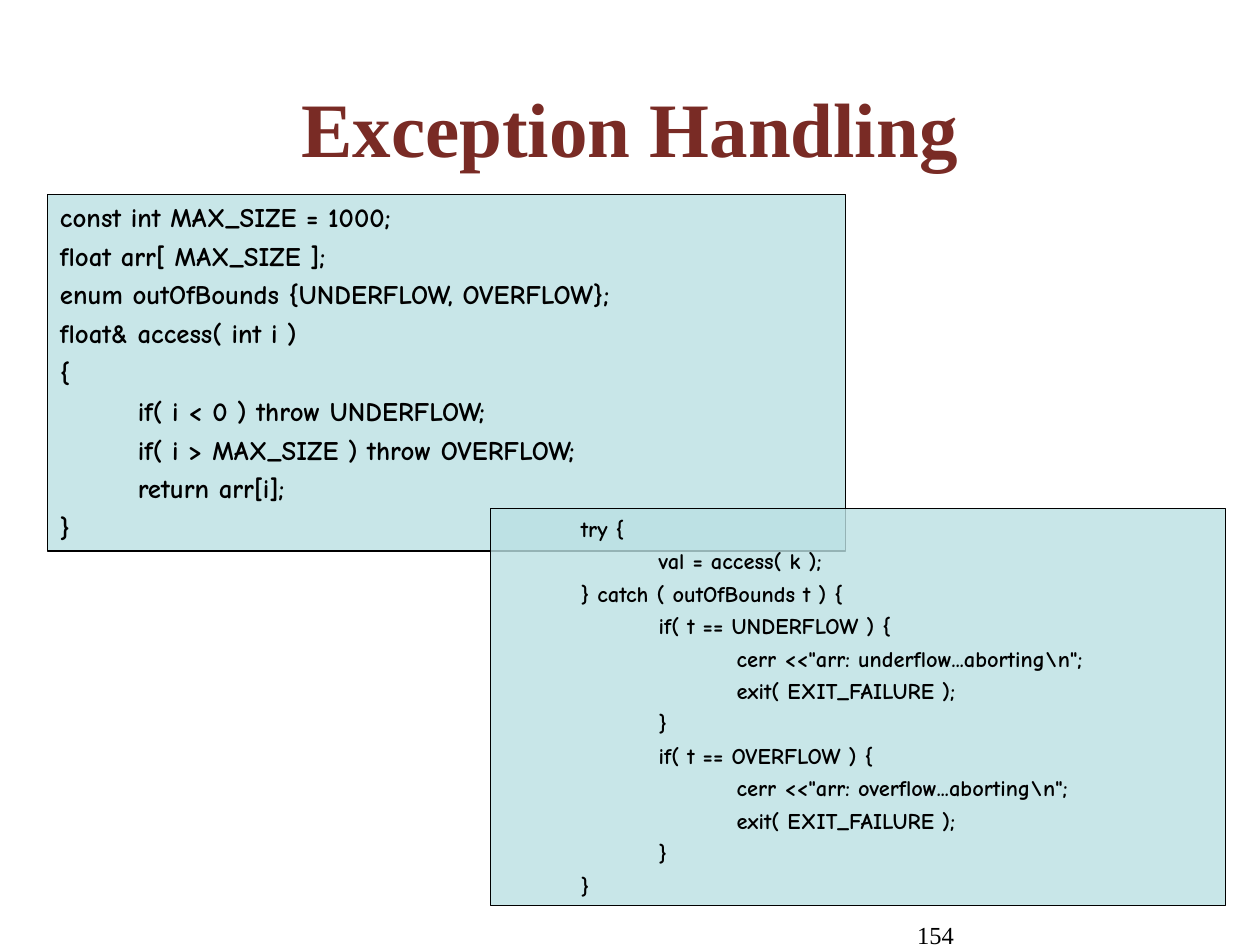
import pptx
import pptx.dml.color
import pptx.enum.shapes
import pptx.enum.text
import pptx.oxml
import pptx.oxml.ns
import pptx.util
from pptx.util import Cm, Pt

BLACK = pptx.dml.color.RGBColor(0x00, 0x00, 0x00)
MAROON = pptx.dml.color.RGBColor(0x79, 0x2B, 0x25)
PALE_TEAL = pptx.dml.color.RGBColor(0xBB, 0xE0, 0xE3)

HEADING_FONT = "Times New Roman"
CODE_FONT = "Comic Neue"
TAB_STEP = Cm(1.57)
ALIGN = pptx.enum.text.PP_ALIGN
ANCHOR = pptx.enum.text.MSO_ANCHOR

# Each line of code is (indent level, code)
ACCESS_CODE = [
    (0, "const int MAX_SIZE = 1000;"),
    (0, "float arr[ MAX_SIZE ];"),
    (0, "enum outOfBounds {UNDERFLOW, OVERFLOW};"),
    (0, "float& access( int i )"),
    (0, "{"),
    (1, "if( i < 0 ) throw UNDERFLOW;"),
    (1, "if( i > MAX_SIZE ) throw OVERFLOW;"),
    (1, "return arr[i];"),
    (0, "}"),
]


def handler(condition, message):
    return [
        (2, f"if( t == {condition} ) {{"),
        (3, rf'cerr <<"arr: {message}...aborting\n";'),
        (3, "exit( EXIT_FAILURE );"),
        (2, "}"),
    ]


CATCH_CODE = [
    (1, "try {"),
    (2, "val = access( k );"),
    (1, "} catch ( outOfBounds t ) {"),
    *handler("UNDERFLOW", "underflow"),
    *handler("OVERFLOW", "overflow"),
    (1, "}"),
]


def add_run(paragraph, text, font_name, size, color, bold=False):
    run = paragraph.add_run()
    run.text = text
    run.font.name = font_name
    run.font.size = Pt(size)
    run.font.bold = bold
    run.font.color.rgb = color


def add_label(slide, box, text, size, color, align, anchor, bold=False):
    """Title or page number: one line of text in a box."""
    label = slide.shapes.add_textbox(*box).text_frame
    label.word_wrap = True
    label.vertical_anchor = anchor
    label.paragraphs[0].alignment = align
    add_run(label.paragraphs[0], text, HEADING_FONT, size, color, bold)


def add_tab_stops(paragraph, count):
    properties = paragraph._p.get_or_add_pPr()
    stops = pptx.oxml.parse_xml(f"<a:tabLst {pptx.oxml.ns.nsdecls('a')}/>")
    for level in range(1, count + 1):
        stop = stops.makeelement(pptx.oxml.ns.qn("a:tab"),
                                 {"pos": str(TAB_STEP * level), "algn": "l"})
        stops.append(stop)
    properties.append(stops)


def add_code_panel(slide, box, lines, size):
    """Translucent panel holding indented code."""
    panel = slide.shapes.add_shape(
        pptx.enum.shapes.MSO_SHAPE.RECTANGLE, *box)
    panel.shadow.inherit = False
    panel.fill.solid()
    panel.fill.fore_color.rgb = PALE_TEAL
    tint = panel.fill._xPr.find(".//" + pptx.oxml.ns.qn("a:srgbClr"))
    tint.append(tint.makeelement(pptx.oxml.ns.qn("a:alpha"), {"val": "80000"}))
    panel.line.color.rgb = BLACK
    panel.line.width = Pt(0.75)

    code = panel.text_frame
    code.word_wrap = True
    code.vertical_anchor = ANCHOR.TOP
    for number, (level, text) in enumerate(lines):
        line = code.add_paragraph() if number else code.paragraphs[0]
        if level:
            add_tab_stops(line, level)
        line.alignment = ALIGN.LEFT
        if number:
            line.space_before = Pt(round(size * 0.25, 1))
        add_run(line, "\t" * level + text, CODE_FONT, size, BLACK, bold=True)


def main():
    deck = pptx.Presentation()
    deck.slide_width, deck.slide_height = Cm(25.4), Cm(19.05)
    slide = deck.slides.add_slide(deck.slide_layouts[6])

    # Page number and title
    add_label(slide, (Cm(17.15), Cm(18.42), Cm(2.33), Cm(0.64)),
              "154", 14, BLACK, ALIGN.RIGHT, ANCHOR.TOP)
    add_label(slide, (Cm(0.84), Cm(1.58), Cm(23.72), Cm(1.93)),
              "Exception Handling", 44, MAROON, ALIGN.CENTER, ANCHOR.MIDDLE,
              bold=True)

    # Throwing code, then the catching code overlapping it
    add_code_panel(slide, (Cm(0.96), Cm(3.92), Cm(16.08), Cm(7.19)),
                   ACCESS_CODE, 15.3)
    add_code_panel(slide, (Cm(9.89), Cm(10.25), Cm(14.81), Cm(8)),
                   CATCH_CODE, 12.8)

    deck.save("out.pptx")


if __name__ == "__main__":
    main()
